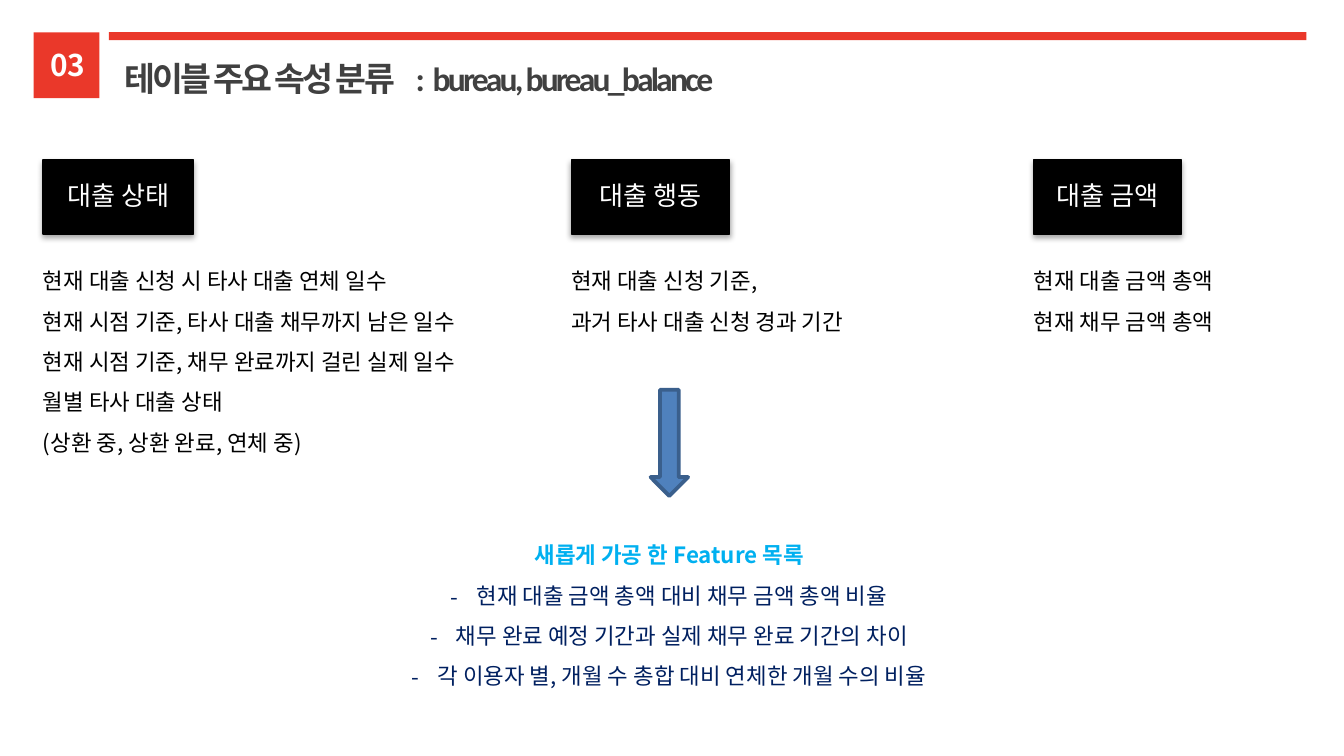
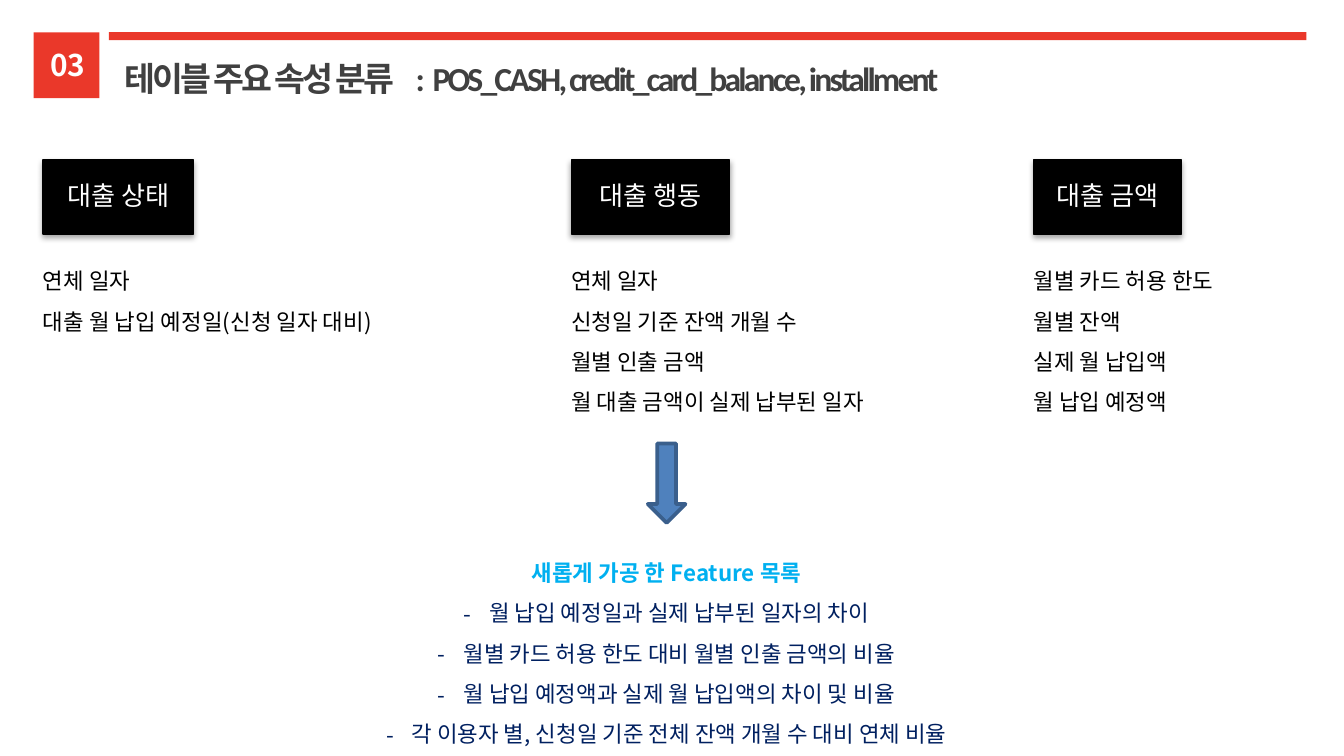
from lxml import etree
from pptx import Presentation
from pptx.dml.color import RGBColor
from pptx.enum import shapes, text
from pptx.oxml.ns import qn
from pptx.util import Inches, Pt

WIDTH = 10
HEIGHT = WIDTH * 9 / 16
COLOURS = {
    "accent": "EA382A", "title": "404040", "white": "FFFFFF", "black": "000000",
    "arrow": "4F81BD", "arrow_edge": "3A5F8C", "feature": "00B0F0", "navy": "002060",
}
SANS, LATIN = "Noto Sans CJK KR", "Calibri"
SECTION, TITLE = "03", "테이블 주요 속성 분류"
FEATURE_HEADING = "새롭게 가공 한 Feature 목록"
FEATURES_WIDTH, ARROW_WIDTH = 4.6, 0.28
COLUMNS = [
    ("대출 상태", 0.32, 1.12, 3.4),
    ("대출 행동", 4.25, 1.18, 2.4),
    ("대출 금액", 7.69, 1.1, 1.48),
]
SLIDES = [
    {
        "tables": "bureau, bureau_balance",
        "title_width": 4.88,
        "attributes": [
            ["현재 대출 신청 시 타사 대출 연체 일수",
             "현재 시점 기준, 타사 대출 채무까지 남은 일수",
             "현재 시점 기준, 채무 완료까지 걸린 실제 일수",
             "월별 타사 대출 상태",
             "(상환 중, 상환 완료, 연체 중)"],
            ["현재 대출 신청 기준,", "과거 타사 대출 신청 경과 기간"],
            ["현재 대출 금액 총액", "현재 채무 금액 총액"],
        ],
        "features": ["현재 대출 금액 총액 대비 채무 금액 총액 비율",
                     "채무 완료 예정 기간과 실제 채무 완료 기간의 차이",
                     "각 이용자 별, 개월 수 총합 대비 연체한 개월 수의 비율"],
        "centre": 4.98, "arrow": (2.9, 0.79), "features_top": 3.93,
    },
    {
        "tables": "POS_CASH, credit_card_balance, installment",
        "title_width": 6.77,
        "attributes": [
            ["연체 일자", "대출 월 납입 예정일(신청 일자 대비)"],
            ["연체 일자", "신청일 기준 잔액 개월 수", "월별 인출 금액",
             "월 대출 금액이 실제 납부된 일자"],
            ["월별 카드 허용 한도", "월별 잔액", "실제 월 납입액", "월 납입 예정액"],
        ],
        "features": ["월 납입 예정일과 실제 납부된 일자의 차이",
                     "월별 카드 허용 한도 대비 월별 인출 금액의 비율",
                     "월 납입 예정액과 실제 월 납입액의 차이 및 비율",
                     "각 이용자 별, 신청일 기준 전체 잔액 개월 수 대비 연체 비율"],
        "centre": 4.96, "arrow": (3.3, 0.59), "features_top": 4.06,
    },
]


def colour(name):
    return RGBColor.from_string(COLOURS[name])


def add_block(page, kind, place, fill, edge=None, weight=0):
    box = page.shapes.add_shape(kind, *map(Inches, place))
    box.fill.solid()
    box.fill.fore_color.rgb = colour(fill)
    if edge:
        box.line.color.rgb = colour(edge)
        box.line.width = Pt(weight)
    else:
        box.line.fill.background()
    box.shadow.inherit = False
    return box


def add_shadow(box):
    effects = box._element.spPr.find(qn("a:effectLst"))
    shadow = etree.SubElement(effects, qn("a:outerShdw"), blurRad=str(Pt(3.1)),
                              dist=str(Pt(1.8)), dir="5400000", rotWithShape="0")
    tint = etree.SubElement(shadow, qn("a:srgbClr"), val=COLOURS["black"])
    etree.SubElement(tint, qn("a:alpha"), val="35000")


def add_span(para, words, size, tone, bold=False, latin=SANS, spacing=0):
    span = para.add_run()
    span.text = words
    for name, value in {"size": Pt(size), "bold": bold, "name": latin}.items():
        setattr(span.font, name, value)
    span.font.color.rgb = colour(tone)
    properties = span.font._element
    etree.SubElement(properties, qn("a:ea"), typeface=SANS)
    if spacing:
        properties.set("spc", str(int(spacing * 100)))


def add_label(page, place):
    box = page.shapes.add_textbox(*map(Inches, place))
    box.text_frame.word_wrap = True
    box.text_frame.auto_size = text.MSO_AUTO_SIZE.SHAPE_TO_FIT_TEXT
    return box.text_frame.paragraphs[0]


def add_list(page, place, lines, align=text.PP_ALIGN.LEFT):
    frame = page.shapes.add_textbox(*map(Inches, place)).text_frame
    frame.word_wrap = False
    for side in ("left", "top", "right", "bottom"):
        setattr(frame, f"margin_{side}", 0)
    for index, (words, tone, bold, bullet) in enumerate(lines):
        para = frame.add_paragraph() if index else frame.paragraphs[0]
        para.alignment, para.line_spacing = align, 1.5
        if bullet:
            properties = para._p.get_or_add_pPr()
            properties.set("marL", str(Inches(0.19)))
            properties.set("indent", str(-Inches(0.19)))
            etree.SubElement(properties, qn("a:buFont"), typeface=SANS)
            etree.SubElement(properties, qn("a:buChar"), char=bullet)
        add_span(para, words, 12, tone, bold)


def add_header(page, tables, title_width):
    rectangle = shapes.MSO_SHAPE.RECTANGLE
    add_block(page, rectangle, (0.25, 0.24, 0.49, 0.49), "accent")
    para = add_label(page, (0.83, 0.38, title_width, 0.4))
    for words, spacing in ((TITLE, -1.5), (" ", 7), (": ", 0), (tables, -1.5)):
        add_span(para, words, 18, "title", True, LATIN, spacing)
    add_block(page, rectangle, (0.81, 0.24, 8.91, 0.06), "accent")
    para = add_label(page, (0.15, 0.3, 0.71, 0.37))
    para.alignment = text.PP_ALIGN.CENTER
    add_span(para, SECTION, 16, "white", True)


def add_column(page, column, attributes):
    heading, left, width, list_width = column
    box = add_block(page, shapes.MSO_SHAPE.RECTANGLE, (left, 1.19, width, 0.55),
                    "black", "black", 0.75)
    add_shadow(box)
    para = box.text_frame.paragraphs[0]
    para.alignment, para.line_spacing = text.PP_ALIGN.CENTER, 0.9
    add_span(para, heading, 14, "white")
    add_list(page, (left, 1.89, list_width, 1),
             [(words, "black", False, None) for words in attributes])


def add_features(page, content):
    centre, (top, height) = content["centre"], content["arrow"]
    lines = [(FEATURE_HEADING, "feature", True, None)]
    lines += [(words, "navy", False, "-") for words in content["features"]]
    add_list(page, (centre - FEATURES_WIDTH / 2, content["features_top"],
                    FEATURES_WIDTH, 1.29), lines, text.PP_ALIGN.CENTER)
    add_block(page, shapes.MSO_SHAPE.DOWN_ARROW,
              (centre - ARROW_WIDTH / 2, top, ARROW_WIDTH, height),
              "arrow", "arrow_edge", 2)


def main():
    deck = Presentation()
    deck.slide_width, deck.slide_height = Inches(WIDTH), Inches(HEIGHT)
    for content in SLIDES:
        page = deck.slides.add_slide(deck.slide_layouts[6])
        add_header(page, content["tables"], content["title_width"])
        for column, attributes in zip(COLUMNS, content["attributes"]):
            add_column(page, column, attributes)
        add_features(page, content)
    deck.save("out.pptx")


if __name__ == "__main__":
    main()
